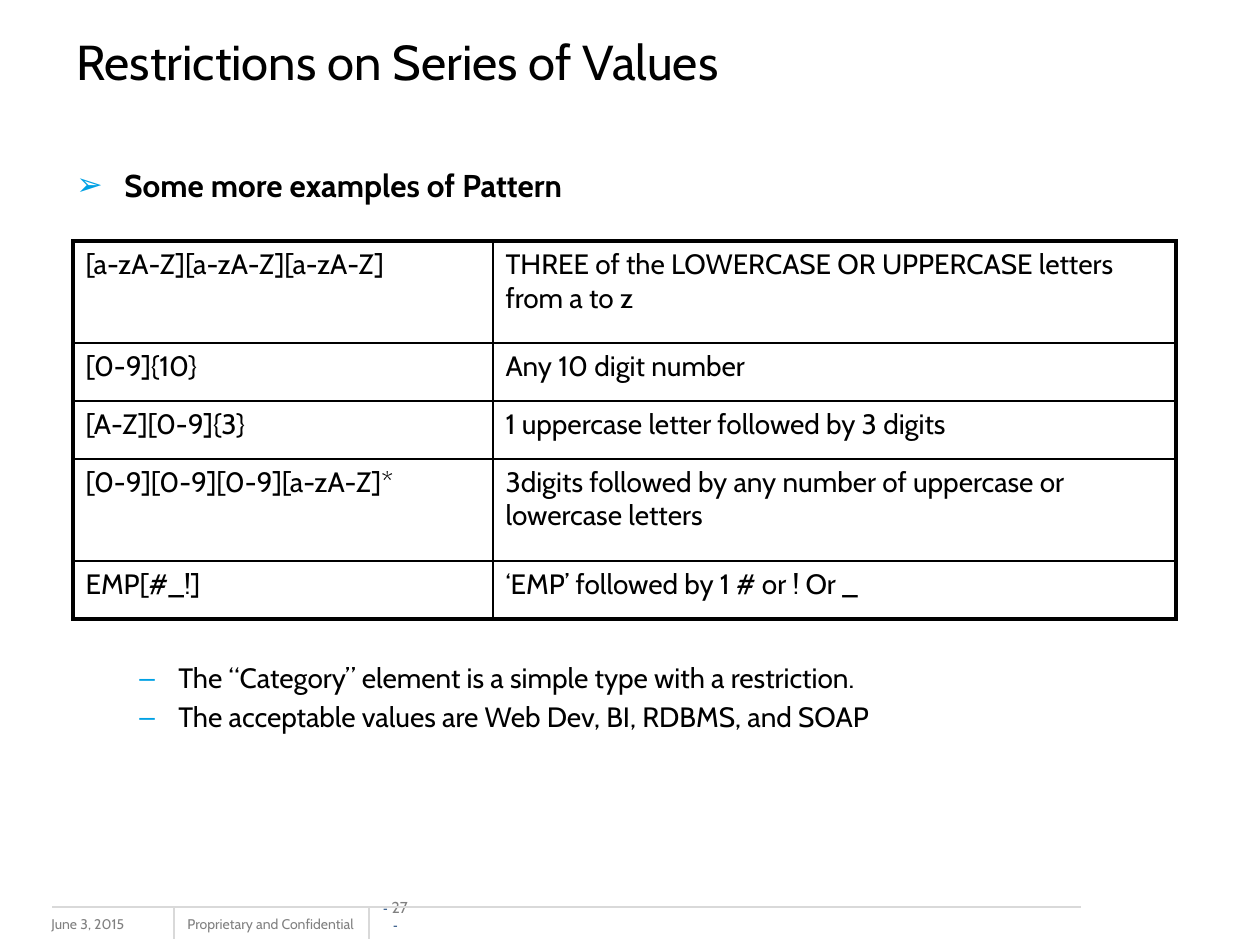
"""Builds the slide about pattern restrictions on series of values."""
from lxml.etree import SubElement
from pptx import Presentation
from pptx.dml.color import RGBColor as Rgb
from pptx.enum.shapes import MSO_CONNECTOR as Connector
from pptx.enum.text import MSO_ANCHOR as Anchor, PP_ALIGN as Align
from pptx.oxml.ns import qn
from pptx.util import Emu, Pt

COLORS = {"ink": "000000", "paper": "FFFFFF", "accent": "00A1E4",
          "footer": "808080", "dash": "1F497D", "rule": "D9D9D9"}

PATTERNS = [
    ("[a-zA-Z][a-zA-Z][a-zA-Z]",
     "THREE of the LOWERCASE OR UPPERCASE letters from a to z"),
    ("[0-9]{10}", "Any 10 digit number"),
    ("[A-Z][0-9]{3}", "1 uppercase letter followed by 3 digits"),
    ("[0-9][0-9][0-9][a-zA-Z]*",
     "3digits followed by any number of uppercase or lowercase letters"),
    ("EMP[#_!]", "‘EMP’ followed by 1 # or ! Or _"),
]
NOTES = [
    "The “Category” element is a simple type with a restriction.",
    "The acceptable values are Web Dev, BI, RDBMS, and SOAP",
]


def px(value):
    return Emu(round(value * 914400 / 126))


class SlideBuilder:
    def __init__(self, slide, font="Cabin"):
        self.slide = slide
        self.font = font

    def run(self, paragraph, text, size, color="ink", **font_format):
        run = paragraph.add_run()
        run.text = text
        run.font.color.rgb = Rgb.from_string(COLORS[color])
        values = {"name": self.font, "size": Pt(size), **font_format}
        for name, value in values.items():
            setattr(run.font, name, value)

    def text_box(self, left, top, width, height, **frame_format):
        shape = self.slide.shapes.add_textbox(*map(px, (left, top, width, height)))
        frame = shape.text_frame
        for name, value in {"word_wrap": True, **frame_format}.items():
            setattr(frame, name, value)
        return frame

    def bullet(self, paragraph, symbol, margin, indent):
        properties = paragraph._p.get_or_add_pPr()
        properties.set("marL", str(px(margin)))
        properties.set("indent", str(px(-indent)))
        color = SubElement(properties, qn("a:buClr"))
        SubElement(color, qn("a:srgbClr"), val=COLORS["accent"])
        SubElement(properties, qn("a:buFont"), typeface="Arial")
        SubElement(properties, qn("a:buChar"), char=symbol)

    def line(self, x1, y1, x2, y2):
        connector = self.slide.shapes.add_connector(
            Connector.STRAIGHT, *map(px, (x1, y1, x2, y2)))
        connector.line.color.rgb = Rgb.from_string(COLORS["rule"])
        connector.line.width = Pt(0.75)
        SubElement(connector._element.spPr, qn("a:effectLst"))

    def borders(self, cell, outer_sides):
        properties = cell._tc.get_or_add_tcPr()
        for side in "LRTB":
            width = Pt(2.25 if side in outer_sides else 1)
            border = SubElement(properties, qn(f"a:ln{side}"), w=str(width))
            fill = SubElement(border, qn("a:solidFill"))
            SubElement(fill, qn("a:srgbClr"), val=COLORS["ink"])

    def table(self, left, top, widths, heights, rows):
        table = self.slide.shapes.add_table(
            len(rows), len(widths),
            *map(px, (left, top, sum(widths), sum(heights)))).table
        for column, width in zip(table.columns, widths):
            column.width = px(width)
        for row, height in zip(table.rows, heights):
            row.height = px(height)
        for i, texts in enumerate(rows):
            for j, text in enumerate(texts):
                cell = table.cell(i, j)
                edges = {"L": j == 0, "R": j == len(widths) - 1,
                         "T": i == 0, "B": i == len(rows) - 1}
                self.borders(cell, [side for side, outer in edges.items() if outer])
                cell.fill.solid()
                cell.fill.fore_color.rgb = Rgb.from_string(COLORS["paper"])
                self.run(cell.text_frame.paragraphs[0], text, 16, bold=False)


def main():
    presentation = Presentation()
    presentation.slide_width, presentation.slide_height = px(1260), px(945)
    slide = presentation.slides.add_slide(presentation.slide_layouts[6])
    builder = SlideBuilder(slide)

    for left, width, text in ((39, 168, "June 3, 2015"),
                              (175, 198, "Proprietary and Confidential")):
        frame = builder.text_box(left, 909, width, 31)
        builder.run(frame.paragraphs[0], text, 8, "footer")

    margins = dict.fromkeys(
        ("margin_left", "margin_top", "margin_right", "margin_bottom"), 0)
    frame = builder.text_box(380, 914, 31, 19,
                             vertical_anchor=Anchor.BOTTOM, **margins)
    number = frame.paragraphs[0]
    number.alignment = Align.CENTER
    builder.run(number, "- ", 8, "dash", name="Arial")
    builder.run(number, "27 ", 9, "footer")
    builder.run(number, "-", 8, "dash", name="Arial")

    builder.line(1081, 907, 52, 907)
    for x in (174, 369):
        builder.line(x, 907, x, 939)

    builder.table(73, 241, (420, 683), (102, 58, 58, 102, 58), PATTERNS)

    frame = builder.text_box(64, 17, 1124, 98, vertical_anchor=Anchor.MIDDLE)
    title = frame.paragraphs[0]
    title.line_spacing = 0.8
    builder.run(title, "Restrictions on Series of Values", 28)

    body = builder.text_box(64, 160, 1134, 693)
    heading = body.paragraphs[0]
    builder.run(heading, "Some more examples of Pattern", 18, bold=True)
    builder.bullet(heading, "➢", 48, 48)
    for text, gap in zip(NOTES, (261, 3.2)):
        paragraph = body.add_paragraph()
        paragraph.level = 1
        paragraph.space_before = Pt(gap)
        builder.run(paragraph, text, 16)
        builder.bullet(paragraph, "–", 102, 39)

    presentation.save("out.pptx")


if __name__ == "__main__":
    main()
